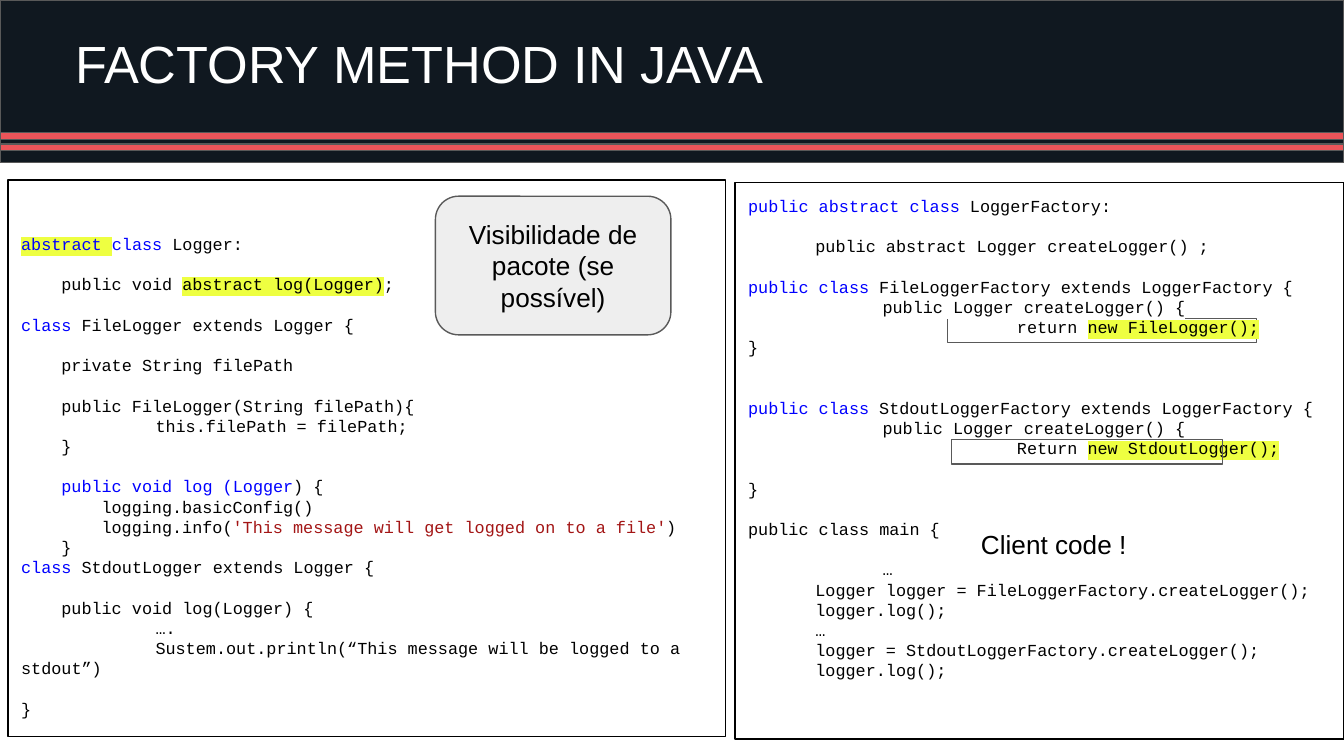
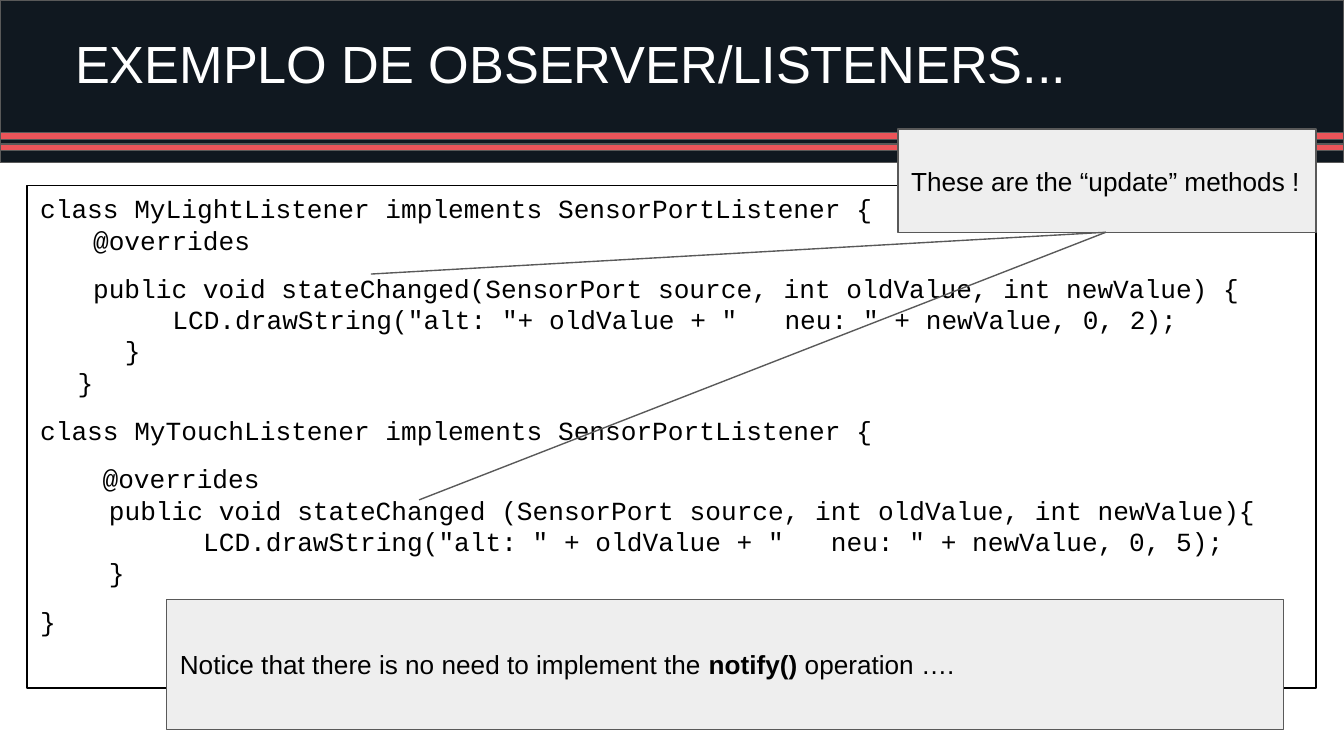
"""Builds two slides of code examples on design patterns."""
from pptx import Presentation
from pptx.dml.color import RGBColor as RGB
from pptx.enum.shapes import MSO_CONNECTOR as CONN, MSO_SHAPE as GEOM
from pptx.enum.text import MSO_ANCHOR as ANCHOR, MSO_AUTO_SIZE as FIT, PP_ALIGN as ALIGN
from pptx.oxml.ns import qn
from pptx.util import Cm, Pt
from lxml import etree


class Theme:
    navy, red, gray, line = "101820", "EC5459", "EEEEEE", "595959"
    black, white, blue, brown, yellow = "000000", "FFFFFF", "0000FF", "A31515", "EEFF41"
    sans, mono = "Arial", "Courier New"
    title, body, code = 28, 14, 9
    code_step, listing_step = 10.8, 9
    looks = {
        "title": (sans, white, None, False),
        "body": (sans, black, None, False),
        "strong": (sans, black, None, True),
        "listing": (mono, black, None, False),
        "code": (mono, black, white, False),
        "key": (mono, blue, white, False),
        "string": (mono, brown, white, False),
        "mark": (mono, black, yellow, False),
        "keymark": (mono, blue, yellow, False),
    }


def add_box(shapes, geom, rect, fill=None, line=Theme.line):
    sp = shapes.add_shape(geom, *[Cm(v) for v in rect])
    sp.shadow.inherit = False
    if fill:
        sp.fill.solid()
        sp.fill.fore_color.rgb = RGB.from_string(fill)
    else:
        sp.fill.background()
    sp.line.color.rgb = RGB.from_string(line)
    sp.line.width = Pt(0.75)
    return sp


def write(tf, lines, size, step=0, align=ALIGN.LEFT, anchor=ANCHOR.MIDDLE, pad=0.25):
    tf.word_wrap = True
    tf.auto_size = FIT.NONE
    tf.vertical_anchor = anchor
    tf.margin_left = tf.margin_right = Cm(0.25)
    tf.margin_top = tf.margin_bottom = Cm(pad)
    for i, (gap, indent, *runs) in enumerate(lines):
        p = tf.add_paragraph() if i else tf.paragraphs[0]
        p.alignment = align
        p.space_before = Pt(gap * step)
        pPr = p._p.get_or_add_pPr()
        pPr.set("marL", "0")
        pPr.set("indent", str(Cm(indent)))
        for look, text in runs:
            font, ink, mark, bold = Theme.looks[look]
            r = p.add_run()
            r.text = text
            r.font.size = Pt(size)
            r.font.bold = bold
            r.font.name = font
            r.font.color.rgb = RGB.from_string(ink)
            if mark:
                hl = etree.Element(qn("a:highlight"))
                etree.SubElement(hl, qn("a:srgbClr")).set("val", mark)
                r._r.rPr.find(qn("a:solidFill")).addnext(hl)


prs = Presentation()
prs.slide_width, prs.slide_height = Cm(25.4), Cm(14.29)

for text in ("FACTORY METHOD IN JAVA", "EXEMPLO DE OBSERVER/LISTENERS..."):
    s = prs.slides.add_slide(prs.slide_layouts[5])
    band = s.shapes.add_group_shape()
    for top, height, fill in ((0, 3.07, Theme.navy), (2.51, 0.13, Theme.red), (2.72, 0.13, Theme.red)):
        add_box(band.shapes, GEOM.RECTANGLE, (0, top, 25.4, height), fill)
    title = s.shapes.title
    title.left, title.top, title.width, title.height = Cm(1.17), Cm(0.13), Cm(20.24), Cm(2.34)
    write(title.text_frame, [(0, 0, ("title", text))], Theme.title, pad=0.13)
    title.text_frame.paragraphs[0].line_spacing = 0.8
    s.shapes._spTree.append(title.element)

factory, observer = prs.slides

tab, half, four, eight = 2.54, 1.27, 0.76, 1.52
loggers = [
    (0, 0, ("keymark", "abstract "), ("key", "class"), ("code", " Logger:")),
    (1, four, ("code", "public void "), ("mark", "abstract log(Logger)"), ("code", ";")),
    (1, 0, ("key", "class"), ("code", " FileLogger extends Logger {")),
    (1, four, ("code", "private String filePath")),
    (1, four, ("code", "public FileLogger(String filePath){")),
    (0, tab, ("code", "this.filePath = filePath;")),
    (0, four, ("code", "}")),
    (1, four, ("key", "public void log (Logger"), ("code", ") {")),
    (0, eight, ("code", "logging.basicConfig()")),
    (0, eight, ("code", "logging.info("),
     ("string", "'This message will get logged on to a file'"), ("code", ")")),
    (0, four, ("code", "}")),
    (0, 0, ("key", "class"), ("code", " StdoutLogger extends Logger {")),
    (1, four, ("code", "public void log(Logger) {")),
    (0, tab, ("code", "….")),
    (0, tab, ("code", "Sustem.out.println(“This message will be logged to a stdout”)")),
    (1, 0, ("code", "}")),
]
factories = [
    (0, 0, ("key", "public abstract class"), ("code", " LoggerFactory:")),
    (1, half, ("code", "public abstract Logger createLogger() ;")),
    (1, 0, ("key", "public class"), ("code", " FileLoggerFactory extends LoggerFactory {")),
    (0, tab, ("code", "public Logger createLogger() {")),
    (0, 2 * tab, ("code", "return "), ("mark", "new FileLogger();")),
    (0, 0, ("code", "}")),
    (2, 0, ("key", "public class"), ("code", " StdoutLoggerFactory extends LoggerFactory {")),
    (0, tab, ("code", "public Logger createLogger() {")),
    (0, 2 * tab, ("code", "Return "), ("mark", "new StdoutLogger();")),
    (1, 0, ("code", "}")),
    (1, 0, ("code", "public class main {")),
    (1, tab, ("code", "…")),
    (0, half, ("code", "Logger logger = FileLoggerFactory.createLogger();")),
    (0, half, ("code", "logger.log();")),
    (0, half, ("code", "…")),
    (0, half, ("code", "logger = StdoutLoggerFactory.createLogger();")),
    (0, half, ("code", "logger.log();")),
]
shapes = factory.shapes
sp = add_box(shapes, GEOM.RECTANGLE, (0.15, 3.4, 13.56, 10.52), line=Theme.black)
write(sp.text_frame, loggers, Theme.code, Theme.code_step, anchor=ANCHOR.TOP, pad=1.02)
add_box(shapes, GEOM.RECTANGLE, (17.91, 6.02, 5.84, 0.46))
sp = add_box(shapes, GEOM.RECTANGLE, (13.89, 3.45, 11.51, 10.52), line=Theme.black)
write(sp.text_frame, factories, Theme.code, Theme.code_step, anchor=ANCHOR.TOP)
add_box(shapes, GEOM.RECTANGLE, (17.98, 8.31, 5.13, 0.46))
sp = shapes.add_textbox(Cm(18.29), Cm(9.73), Cm(4.17), Cm(1.12))
write(sp.text_frame, [(0, 0, ("body", "Client code !"))], Theme.body, anchor=ANCHOR.TOP)
sp = add_box(shapes, GEOM.ROUNDED_RECTANGLE, (8.23, 3.71, 4.45, 2.62), Theme.gray)
write(sp.text_frame, [(0, 0, ("body", "Visibilidade de pacote (se possível)"))],
      Theme.body, align=ALIGN.CENTER)

listeners = [
    (0, 0, "class MyLightListener implements SensorPortListener {"),
    (0, 1, "@overrides"),
    (1, 1, "public void stateChanged(SensorPort source, int oldValue, int newValue) {"),
    (0, 2.5, 'LCD.drawString("alt: "+ oldValue + "   neu: " + newValue, 0, 2);'),
    (0, 1.6, "}"),
    (0, 0.71, "}"),
    (1, 0, "class MyTouchListener implements SensorPortListener {"),
    (1, 1.18, "@overrides"),
    (0, 1.3, "public void stateChanged (SensorPort source, int oldValue, int newValue){"),
    (0, 3.08, 'LCD.drawString("alt: " + oldValue + "   neu: " + newValue, 0, 5);'),
    (0, 1.3, "}"),
    (1, 0, "}"),
]
notes = [
    ((16.97, 2.44, 7.9, 1.96), [("body", "These are the “update” methods !")]),
    ((3.15, 11.33, 21.11, 2.46), [("body", "Notice that there is no need to implement the "),
                                  ("strong", "notify()"), ("body", " operation ….")]),
]
shapes = observer.shapes
sp = add_box(shapes, GEOM.RECTANGLE, (0.51, 3.51, 24.36, 9.5), Theme.white, Theme.black)
write(sp.text_frame, [(gap, indent, ("listing", text)) for gap, indent, text in listeners],
      Theme.body, Theme.listing_step, anchor=ANCHOR.TOP, pad=0.13)
for rect, runs in notes:
    sp = add_box(shapes, GEOM.RECTANGLE, rect, Theme.gray)
    write(sp.text_frame, [(0, 0, *runs)], Theme.body)
for x, y in ((7.01, 5.18), (7.92, 9.45)):
    cxn = shapes.add_connector(CONN.STRAIGHT, Cm(20.9), Cm(4.39), Cm(x), Cm(y))
    cxn.line.color.rgb = RGB.from_string(Theme.line)
    cxn.line.width = Pt(0.75)
    etree.SubElement(cxn._element.spPr, qn("a:effectLst"))

prs.save("out.pptx")
